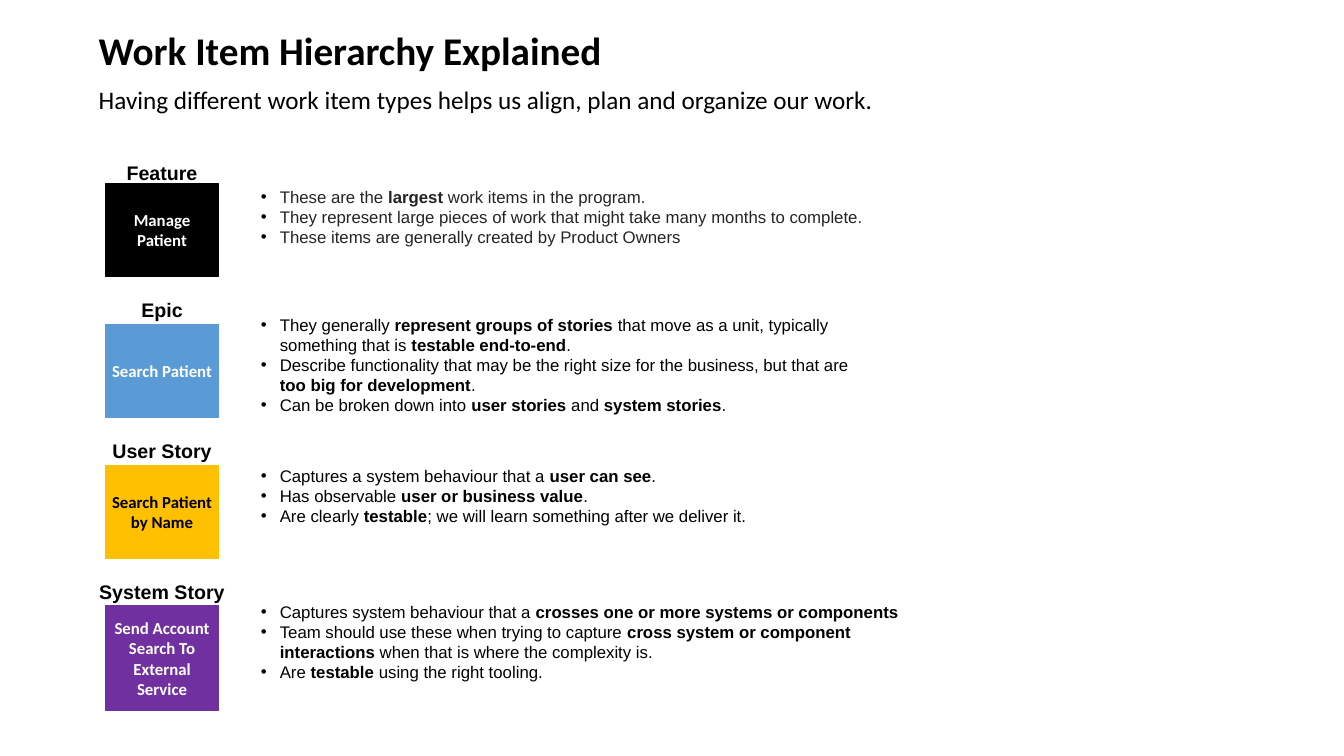
from dataclasses import dataclass

import pptx
import pptx.dml.color
import pptx.enum.shapes
import pptx.enum.text
import pptx.util
from lxml import etree
from pptx.oxml.ns import qn

Pt = pptx.util.Pt
RGBColor = pptx.dml.color.RGBColor
Align = pptx.enum.text.PP_ALIGN
Anchor = pptx.enum.text.MSO_ANCHOR

BLACK = RGBColor(0x00, 0x00, 0x00)
WHITE = RGBColor(0xFF, 0xFF, 0xFF)
CHARCOAL = RGBColor(0x24, 0x24, 0x24)
BLUE = RGBColor(0x5B, 0x9B, 0xD5)
AMBER = RGBColor(0xFF, 0xC0, 0x00)
PURPLE = RGBColor(0x70, 0x30, 0xA0)

# Shared column geometry, in points
COLUMN_CENTER = 115.75
TILE_WIDTH = 80.64
LABEL_HEIGHT = 24.5
BODY_LEFT = 179.3
BULLET_INDENT = 13.5

TEXT_INSETS = {"margin_left": Pt(7.2), "margin_right": Pt(7.2),
               "margin_top": Pt(3.6), "margin_bottom": Pt(3.6)}
TILE_INSETS = {"margin_left": Pt(1.4), "margin_right": Pt(1.4),
               "margin_top": Pt(2.9), "margin_bottom": Pt(2.9)}


@dataclass(frozen=True)
class Area:
    left: float
    top: float
    width: float
    height: float

    def lengths(self) -> list:
        return [Pt(value) for value in (self.left, self.top, self.width, self.height)]


@dataclass(frozen=True)
class TextStyle:
    name: str
    size: float
    color: RGBColor = BLACK
    bold: bool = False


@dataclass(frozen=True)
class WorkItem:
    """One level of the hierarchy; ** in a bullet switches bold on and off."""
    label: str
    example: str
    fill: RGBColor
    bullets: tuple[str, ...]
    label_top: float
    tile_top: float
    body_top: float
    body_height: float
    example_color: RGBColor = WHITE
    body_color: RGBColor = BLACK
    label_width: float = 85.7
    tile_height: float = 66.5
    body_width: float = 445


WORK_ITEMS = (
    WorkItem("Feature", "Manage Patient", BLACK, (
        "These are the **largest **work items in the program.",
        "They represent large pieces of work that might take many months to complete.",
        "These items are generally created by Product Owners",
    ), 111.6, 131, 129.6, 51, body_color=CHARCOAL),
    WorkItem("Epic", "Search Patient", BLUE, (
        "They generally **represent groups of stories** that move as a unit, "
        "typically something that is **testable end-to-end**.",
        "Describe functionality that may be the right size for the business, "
        "but that are **too big for development**.",
        "Can be broken down into **user stories** and **system stories**.",
    ), 209.5, 231.8, 221, 80),
    WorkItem("User Story", "Search Patient by Name", AMBER, (
        "Captures a system behaviour that a **user can see**.",
        "Has observable **user or business value**.",
        "Are clearly** testable**; we will learn something after we deliver it.",
    ), 310.3, 332.6, 329, 51, example_color=BLACK),
    WorkItem("System Story", "Send Account Search To External Service", PURPLE, (
        "Captures system behaviour that a **crosses one or more systems or components**",
        "Team should use these when trying to capture** cross system or component "
        "interactions **when that is where the complexity is.",
        "Are **testable **using the right tooling.",
    ), 410.4, 432.7, 426.2, 65.5, label_width=105, tile_height=75, body_width=475),
)


def apply(target: object, formats: dict) -> None:
    for attribute, value in formats.items():
        setattr(target, attribute, value)


def add_span(para, text: str, style: TextStyle, bold: bool) -> None:
    span = para.add_run()
    span.text = text
    apply(span.font, {"name": style.name, "size": Pt(style.size), "bold": bold})
    span.font.color.rgb = style.color


def add_bullet(para) -> None:
    properties = para._p.get_or_add_pPr()
    properties.set("marL", str(Pt(BULLET_INDENT)))
    properties.set("indent", str(-Pt(BULLET_INDENT)))
    color = etree.SubElement(properties, qn("a:buClr"))
    etree.SubElement(color, qn("a:srgbClr"), val=str(BLACK))
    etree.SubElement(properties, qn("a:buFont"), typeface="Arial")
    etree.SubElement(properties, qn("a:buChar"), char="•")


def add_text(page, area: Area, lines: tuple[str, ...], style: TextStyle,
             align=Align.LEFT, bulleted: bool = False, spacing: float = 1.0) -> None:
    frame = page.shapes.add_textbox(*area.lengths()).text_frame
    apply(frame, {"word_wrap": True, **TEXT_INSETS})
    for index, line in enumerate(lines):
        para = frame.add_paragraph() if index else frame.paragraphs[0]
        apply(para, {"alignment": align, "line_spacing": spacing})
        if bulleted:
            add_bullet(para)
        for position, part in enumerate(line.split("**")):
            if part:
                add_span(para, part, style, style.bold or position % 2 == 1)


def add_tile(page, item: WorkItem) -> None:
    area = Area(COLUMN_CENTER - TILE_WIDTH / 2, item.tile_top, TILE_WIDTH, item.tile_height)
    tile = page.shapes.add_shape(pptx.enum.shapes.MSO_SHAPE.RECTANGLE, *area.lengths())
    tile.shadow.inherit = False
    tile.fill.solid()
    tile.fill.fore_color.rgb = item.fill
    tile.line.color.rgb = item.fill
    tile.line.width = Pt(1)
    frame = tile.text_frame
    apply(frame, {"word_wrap": True, "vertical_anchor": Anchor.MIDDLE, **TILE_INSETS})
    para = frame.paragraphs[0]
    para.alignment = Align.CENTER
    add_span(para, item.example, TextStyle("Calibri", 12, item.example_color), True)


def add_work_item(page, item: WorkItem) -> None:
    body = Area(BODY_LEFT, item.body_top, item.body_width, item.body_height)
    add_text(page, body, item.bullets, TextStyle("Arial", 12, item.body_color), bulleted=True)
    add_tile(page, item)
    label = Area(COLUMN_CENTER - item.label_width / 2, item.label_top,
                 item.label_width, LABEL_HEIGHT)
    add_text(page, label, (item.label,), TextStyle("Arial", 14, bold=True), Align.CENTER)


def main() -> None:
    deck = pptx.Presentation()
    apply(deck, {"slide_width": Pt(960), "slide_height": Pt(540)})
    page = deck.slides.add_slide(deck.slide_layouts[6])

    # Hierarchy levels
    for item in WORK_ITEMS:
        add_work_item(page, item)

    # Heading
    add_text(page, Area(63.4, 56.9, 574, 28.8),
             ("Having different work item types helps us align, plan and organize our work.",),
             TextStyle("Calibri", 18))
    add_text(page, Area(63.4, 19.4, 857.5, 38.2), ("Work Item Hierarchy Explained",),
             TextStyle("Calibri", 28, bold=True), spacing=0.9)

    deck.save("out.pptx")


if __name__ == "__main__":
    main()
